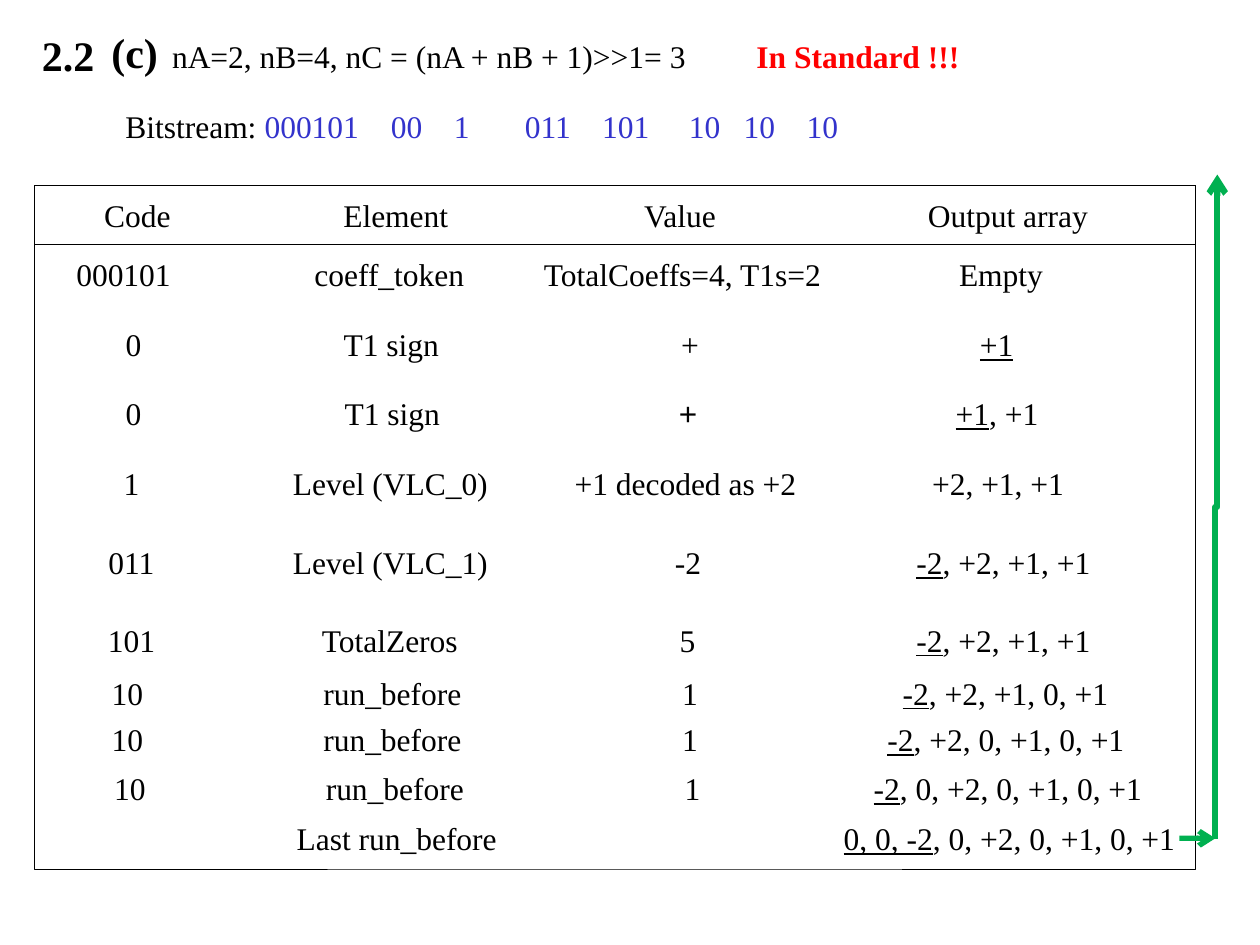
import pptx
import pptx.dml.color
import pptx.enum.shapes
import pptx.enum.text
import pptx.util
from lxml import etree

Cm, Pt = pptx.util.Cm, pptx.util.Pt
ALIGN = pptx.enum.text.PP_ALIGN
CONNECTOR = pptx.enum.shapes.MSO_CONNECTOR
SERIF, BLACK, BLUE, RED, GREEN = "Times New Roman", "000000", "3333CC", "FF0000", "00B050"

# Headings: left, top, width, height, inset, text, format
HEADINGS = [
    (0.64, 0.5, 1.47, 1.22, 0.2, "2.2", {"size": Pt(24), "bold": True}),
    (2.03, 0.43, 1.37, 1.22, 0.2, "(c)", {"size": Pt(24), "bold": True}),
    (3.42, 0.72, 10.46, 0.84, 0.03, "nA=2, nB=4, nC = (nA + nB + 1)>>1= 3", {}),
    (15.1, 0.72, 4.39, 0.84, 0.03, "In Standard !!!", {"bold": True, "color": RED}),
]

# Bitstream codes, each with the tab stop it follows
BITSTREAM = [("00", 5.35), ("1", 6.62), ("011", 8.05), ("101", 9.61),
             ("10", 11.36), ("10", 12.46), ("10", 13.73)]

# Decoding rows: top, then (centre, text) per cell; text before "|" is underlined
ROWS = [
    (3.93, [(2.77, "Code"), (7.98, "Element"), (13.71, "Value"), (20.32, "Output array")]),
    (5.11, [(2.49, "000101"), (7.85, "coeff_token"), (13.76, "TotalCoeffs=4, T1s=2"),
            (20.18, "Empty")]),
    (6.52, [(2.69, "0"), (7.89, "T1 sign"), (13.91, "+"), (20.09, "+1|")]),
    (7.91, [(2.69, "0"), (7.91, "T1 sign"), (13.87, "+"), (20.1, "+1|, +1")]),
    (9.33, [(2.65, "1"), (7.87, "Level (VLC_0)"), (13.82, "+1 decoded as +2"),
            (20.12, "+2, +1, +1")]),
    (10.92, [(2.65, "011"), (7.87, "Level (VLC_1)"), (13.87, "-2"), (20.23, "-2|, +2, +1, +1")]),
    (12.48, [(2.65, "101"), (7.86, "TotalZeros"), (13.86, "5"), (20.23, "-2|, +2, +1, +1")]),
    (13.55, [(2.57, "10"), (7.91, "run_before"), (13.91, "1"), (20.27, "-2|, +2, +1, 0, +1")]),
    (14.48, [(2.57, "10"), (7.91, "run_before"), (13.91, "1"), (20.28, "-2|, +2, 0, +1, 0, +1")]),
    (15.48, [(2.62, "10"), (7.96, "run_before"), (13.96, "1"),
             (20.32, "-2|, 0, +2, 0, +1, 0, +1")]),
    (16.48, [(8.0, "Last run_before"), (20.35, "0, 0, -2|, 0, +2, 0, +1, 0, +1")]),
]
ARIAL_CELL = (7.91, "+")

# Letter widths in ems, for sizing cells; all others are half an em
EM, SLACK = 0.635, 0.15
LETTERS = {" ": 0.25, ",": 0.25, "+": 0.57, "-": 0.34, "=": 0.57, "l": 0.28, "i": 0.28,
           "t": 0.28, "f": 0.34, "r": 0.34, "(": 0.34, ")": 0.34, "e": 0.45, "c": 0.45,
           "a": 0.45, "s": 0.39, "m": 0.78, "T": 0.62, "L": 0.62, "E": 0.62, "Z": 0.62,
           "C": 0.67, "V": 0.73, "O": 0.73}


def color(value):
    return pptx.dml.color.RGBColor.from_string(value)


def add_span(para, text, **formats):
    span = para.add_run()
    span.text = text
    values = {"name": SERIF, "size": Pt(18), "color": BLACK, **formats}
    span.font.color.rgb = color(values.pop("color"))
    for key, value in values.items():
        setattr(span.font, key, value)


def add_box(page, left, top, width, height=0.84, inset=0.03, align=ALIGN.CENTER):
    box = page.shapes.add_textbox(Cm(left), Cm(top), Cm(width), Cm(height))
    frame = box.text_frame
    side = Cm(inset)
    edge = Cm(min(inset, 0.1))
    settings = {"margin_left": side, "margin_right": side, "margin_top": edge,
                "margin_bottom": edge, "word_wrap": False,
                "auto_size": pptx.enum.text.MSO_AUTO_SIZE.SHAPE_TO_FIT_TEXT}
    for key, value in settings.items():
        setattr(frame, key, value)
    para = frame.paragraphs[0]
    para.alignment = align
    return box, para


def add_frame(page, height, fill=None):
    frame = page.shapes.add_shape(pptx.enum.shapes.MSO_SHAPE.RECTANGLE,
                                  Cm(0.69), Cm(3.73), Cm(23.4), Cm(height))
    frame.shadow.inherit = False
    if fill:
        frame.fill.solid()
        frame.fill.fore_color.rgb = color(fill)
    else:
        frame.fill.background()
    frame.line.color.rgb = color(BLACK)
    frame.line.width = Pt(0.25)


def add_arrow(page, kind, start, end, width):
    arrow = page.shapes.add_connector(kind, *map(Cm, start + end))
    arrow.line.color.rgb = color(GREEN)
    arrow.line.width = Pt(width)
    properties = arrow._element.spPr
    namespace = "{%s}" % properties.nsmap["a"]
    etree.SubElement(arrow.line._get_or_add_ln(), namespace + "tailEnd", type="arrow")
    etree.SubElement(properties, namespace + "effectLst")
    return arrow


deck = pptx.Presentation()
deck.slide_width, deck.slide_height = Cm(25.4), Cm(19.05)
page = deck.slides.add_slide(deck.slide_layouts[6])

# Table outline and header band
add_frame(page, 13.79, "FFFFFF")
add_frame(page, 1.19)

# Headings
for left, top, width, height, inset, text, formats in HEADINGS:
    box, para = add_box(page, left, top, width, height, inset)
    add_span(para, text, **formats)

# Bitstream, spaced by tab stops
box, para = add_box(page, 2.5, 2.13, 17.4, align=ALIGN.LEFT)
box.text_frame.word_wrap = True
paragraph_properties = para._p.get_or_add_pPr()
namespace = "{%s}" % paragraph_properties.nsmap["a"]
tabs = etree.SubElement(paragraph_properties, namespace + "tabLst")
for code, stop in BITSTREAM:
    etree.SubElement(tabs, namespace + "tab", pos=str(Cm(stop)), algn="l")
add_span(para, "Bitstream: ")
add_span(para, "\t".join(["000101"] + [code for code, stop in BITSTREAM]), color=BLUE)

# Decoding rows
for top, cells in ROWS:
    for centre, text in cells:
        underlined, mark, plain = text.rpartition("|")
        width = EM * sum(LETTERS.get(letter, 0.5) for letter in underlined + plain) + SLACK
        box, para = add_box(page, centre - width / 2, top, width)
        if underlined:
            add_span(para, underlined, underline=True)
        if plain:
            add_span(para, plain, name="Arial" if (top, text) == ARIAL_CELL else SERIF)
last_output = box

# Arrows from the final output up the right-hand side
middle_x, middle_y, rise, jog = 24.52, 10.22, 13.4, 0.04
upward = add_arrow(page, CONNECTOR.ELBOW,
                   (middle_x + rise / 2, middle_y + jog / 2),
                   (middle_x - rise / 2, middle_y - jog / 2), 3.5)
upward._element.spPr.xfrm.set("rot", str(90 * 60000))
across = add_arrow(page, CONNECTOR.STRAIGHT, (23.75, 16.9), (24.5, 16.9), 3)
across.begin_connect(last_output, 3)

deck.save("out.pptx")
